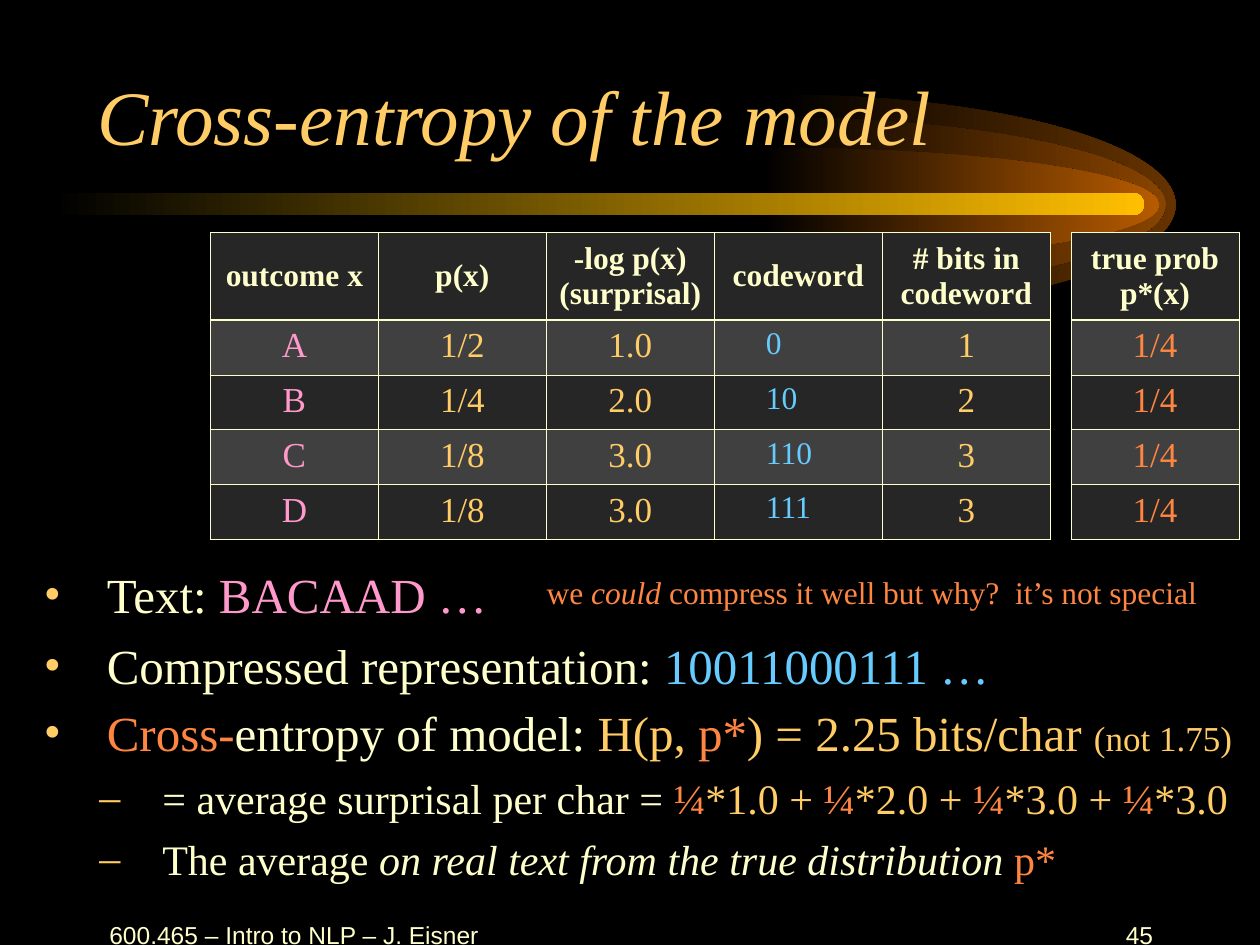
from lxml import etree
from pptx import Presentation
from pptx import util as u
from pptx.dml.color import RGBColor
from pptx.enum import shapes, text
from pptx.oxml import ns

BLACK = RGBColor(0x00, 0x00, 0x00)
CREAM = RGBColor(0xFF, 0xFF, 0xCC)
GOLD = RGBColor(0xFF, 0xCC, 0x66)
ORANGE = RGBColor(0xFF, 0x85, 0x42)
PINK = RGBColor(0xFF, 0x99, 0xCC)
BLUE = RGBColor(0x66, 0xCC, 0xFF)
DARK_ROW = RGBColor(0x26, 0x26, 0x26)
LIGHT_ROW = RGBColor(0x40, 0x40, 0x40)
BAR_YELLOW = RGBColor(0xFF, 0xBF, 0x00)
GLOWS = [
    (6.18, 0.75, 1.75, RGBColor(0x66, 0x33, 0x00)),
    (6.1, 0.93, 1.39, RGBColor(0x89, 0x44, 0x00)),
    (6.05, 1.17, 0.91, RGBColor(0xB7, 0x5B, 0x00)),
]
SERIF = "Times New Roman"
SANS = "Arial"
CENTER = text.PP_ALIGN.CENTER


def add_run(paragraph, words, size, color, font=SERIF, bold=False, italic=False):
    run = paragraph.add_run()
    run.text = words
    run.font.name = font
    run.font.size = u.Pt(size)
    run.font.bold = bold
    run.font.italic = italic
    run.font.color.rgb = color


def add_text_box(slide, left, top, width, height):
    box = slide.shapes.add_textbox(
        u.Inches(left), u.Inches(top), u.Inches(width), u.Inches(height))
    box.text_frame.word_wrap = True
    return box.text_frame


def fade_from_black(shape, color):
    shape.shadow.inherit = False
    shape.line.fill.background()
    shape.fill.gradient()
    shape.fill.gradient_angle = 0
    for stop, stop_color in zip(shape.fill.gradient_stops, (BLACK, color)):
        stop.color.rgb = stop_color


def add_glow(slide, left, top, height, color):
    width, radius, pull = u.Inches(3.15), u.Inches(height / 2), 0.55
    x, y = u.Inches(left), u.Inches(top)
    builder = slide.shapes.build_freeform(x, y)
    builder.add_line_segments(
        [(x + width, y + radius), (x, y + 2 * radius)], close=True)
    glow = builder.convert_to_shape()
    quarters = [
        [(pull * width, 0), (width, (1 - pull) * radius), (width, radius)],
        [(width, (1 + pull) * radius), (pull * width, 2 * radius), (0, 2 * radius)],
    ]
    for line, points in zip(list(glow.element.iter(ns.qn("a:lnTo"))), quarters):
        curve = etree.Element(ns.qn("a:cubicBezTo"))
        for point_x, point_y in points:
            etree.SubElement(curve, ns.qn("a:pt"),
                             x=str(int(point_x)), y=str(int(point_y)))
        line.getparent().replace(line, curve)
    fade_from_black(glow, color)


def add_comet(slide):
    for left, top, height, color in GLOWS:
        add_glow(slide, left, top, height, color)
    bar = slide.shapes.add_shape(
        shapes.MSO_SHAPE.ROUNDED_RECTANGLE,
        u.Inches(0.42), u.Inches(1.53), u.Inches(8.66), u.Inches(0.18))
    bar.adjustments[0] = 0.5
    fade_from_black(bar, BAR_YELLOW)


def place_title(slide, words, left, top, width, height):
    title = slide.shapes.title
    title.left, title.top = u.Inches(left), u.Inches(top)
    title.width, title.height = u.Inches(width), u.Inches(height)
    frame = title.text_frame
    frame.auto_size = text.MSO_AUTO_SIZE.NONE
    frame.vertical_anchor = text.MSO_ANCHOR.BOTTOM
    frame.paragraphs[0].alignment = text.PP_ALIGN.LEFT
    add_run(frame.paragraphs[0], words, 44, GOLD, italic=True)
    title.element.getparent().append(title.element)


def add_border(cell, side, width):
    line = etree.SubElement(
        cell._tc.get_or_add_tcPr(), ns.qn("a:ln" + side), w=str(u.Pt(width)))
    fill = etree.SubElement(line, ns.qn("a:solidFill"))
    etree.SubElement(fill, ns.qn("a:srgbClr"), val=str(CREAM))


def fill_cell(cell, words, row, color):
    header = row == 0
    code = color == BLUE and not header
    thick_side = {0: "B", 1: "T"}.get(row)
    for side in "LRTB":
        add_border(cell, side, 1.47 if side == thick_side else 0.45)
    cell.fill.solid()
    cell.fill.fore_color.rgb = LIGHT_ROW if row % 2 else DARK_ROW
    cell.vertical_anchor = text.MSO_ANCHOR.MIDDLE if header else text.MSO_ANCHOR.TOP
    if code:
        cell.margin_left = u.Inches(0.41)
    frame = cell.text_frame
    for index, line in enumerate(words.split("\n")):
        paragraph = frame.add_paragraph() if index else frame.paragraphs[0]
        paragraph.alignment = text.PP_ALIGN.LEFT if code else CENTER
        add_run(paragraph, line, 18 if header or code else 20,
                CREAM if header else color, bold=header)


def add_code_table(slide, left, top, rows, colors):
    column_width, height, header_height = 4 / 3, 2.44, 0.7
    row_height = (height - header_height) / (len(rows) - 1)
    table = slide.shapes.add_table(
        len(rows), len(colors), u.Inches(left), u.Inches(top),
        u.Inches(column_width * len(colors)), u.Inches(height)).table
    for column in table.columns:
        column.width = u.Inches(column_width)
    for row, values in enumerate(rows):
        table.rows[row].height = u.Inches(row_height if row else header_height)
        for column, (value, color) in enumerate(zip(values, colors)):
            fill_cell(table.cell(row, column), value, row, color)


def set_bullet(paragraph, character, indent):
    properties = paragraph._p.get_or_add_pPr()
    properties.set("marL", str(u.Inches(indent)))
    properties.set("indent", str(u.Inches(-0.5)))
    color = etree.SubElement(properties, ns.qn("a:buClr"))
    etree.SubElement(color, ns.qn("a:srgbClr"), val=str(GOLD))
    etree.SubElement(properties, ns.qn("a:buFont"), typeface=SERIF)
    etree.SubElement(properties, ns.qn("a:buChar"), char=character)


def add_bullets(slide, left, top, width, height):
    surprisals = [part for bits in ("*1.0 + ", "*2.0 + ", "*3.0 + ", "*3.0")
                  for part in (("¼", ORANGE), (bits, GOLD))]
    bullets = [
        (0, 0, [("Text: ", CREAM), ("BACAAD …", PINK)]),
        (0, 7, [("Compressed representation: ", CREAM), ("10011000111 …", BLUE)]),
        (0, 5, [("Cross-", ORANGE), ("entropy of model: ", CREAM), ("H(p, ", GOLD),
                ("p*", ORANGE), (") = 2.25 bits/char ", GOLD),
                ("(not 1.75)", GOLD, {"size": 20})]),
        (1, 6, [("= average surprisal per char = ", CREAM)] + surprisals),
        (1, 6, [("The average ", CREAM),
                ("on real text from the true distribution ", CREAM, {"italic": True}),
                ("p*", ORANGE)]),
    ]
    frame = add_text_box(slide, left, top, width, height)
    for index, (level, space, runs) in enumerate(bullets):
        paragraph = frame.add_paragraph() if index else frame.paragraphs[0]
        paragraph.level = level
        paragraph.space_before = u.Pt(space)
        set_bullet(paragraph, "•–"[level], (0.5, 0.94)[level])
        size = (28, 24)[level]
        paragraph.font.size = u.Pt(size)
        for words, color, *style in runs:
            options = {"size": size, **(style[0] if style else {})}
            add_run(paragraph, words, color=color, **options)


def add_side_note(slide, left, top, width, height):
    frame = add_text_box(slide, left, top, width, height)
    frame.auto_size = text.MSO_AUTO_SIZE.SHAPE_TO_FIT_TEXT
    paragraph = frame.paragraphs[0]
    add_run(paragraph, "we ", 18, ORANGE)
    add_run(paragraph, "could", 18, ORANGE, italic=True)
    add_run(paragraph, " compress it well but why?  it’s not special", 18, ORANGE)


def add_footer(slide, words, alignment, left, width):
    frame = add_text_box(slide, left, 7.17, width, 0.5)
    frame.vertical_anchor = text.MSO_ANCHOR.MIDDLE
    frame.paragraphs[0].alignment = alignment
    add_run(frame.paragraphs[0], words, 14, CREAM, font=SANS)


def main():
    presentation = Presentation()
    presentation.slide_width = u.Inches(10)
    presentation.slide_height = u.Inches(7.5)
    slide = presentation.slides.add_slide(presentation.slide_layouts[5])
    slide.background.fill.solid()
    slide.background.fill.fore_color.rgb = BLACK
    add_comet(slide)
    place_title(slide, "Cross-entropy of the model", 0.67, 0.08, 8.5, 1.25)
    add_footer(slide, "600.465 – Intro to NLP – J. Eisner", CENTER, 0.75, 3.17)
    add_footer(slide, "45", text.PP_ALIGN.RIGHT, 7.17, 2.08)
    add_code_table(slide, 1.67, 1.84, [
        ("outcome x", "p(x)", "-log p(x)\n(surprisal)", "codeword",
         "# bits in codeword"),
        ("A", "1/2", "1.0", "0", "1"),
        ("B", "1/4", "2.0", "10", "2"),
        ("C", "1/8", "3.0", "110", "3"),
        ("D", "1/8", "3.0", "111", "3"),
    ], (PINK, GOLD, GOLD, BLUE, GOLD))
    add_bullets(slide, 0.25, 4.43, 9.75, 3.17)
    add_code_table(slide, 8.5, 1.84,
                   [("true prob p*(x)",)] + [("1/4",)] * 4, (ORANGE,))
    add_side_note(slide, 4.24, 4.5, 5.76, 0.4)
    presentation.save("out.pptx")


if __name__ == "__main__":
    main()
